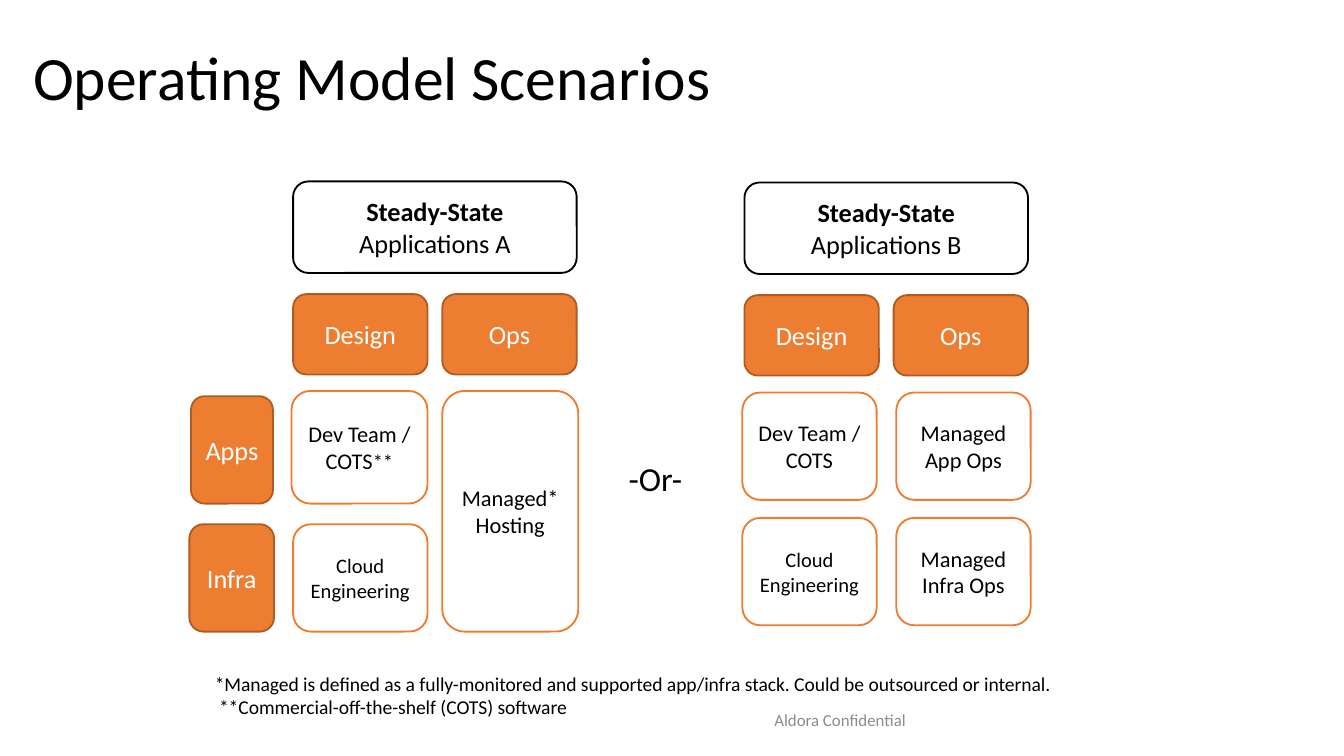
from dataclasses import dataclass

from pptx import Presentation
from pptx.dml.color import RGBColor
from pptx.enum.shapes import MSO_SHAPE
from pptx.enum.text import MSO_ANCHOR, PP_ALIGN
from pptx.util import Cm, Pt


@dataclass(frozen=True)
class Theme:
    font: str = "Calibri"
    ink: RGBColor = RGBColor(0x00, 0x00, 0x00)
    paper: RGBColor = RGBColor(0xFF, 0xFF, 0xFF)
    accent: RGBColor = RGBColor(0xED, 0x7D, 0x31)
    accent_dark: RGBColor = RGBColor(0xAF, 0x5C, 0x24)
    muted: RGBColor = RGBColor(0x8C, 0x8C, 0x8C)
    title: float = 33
    joiner: float = 18
    heading: float = 14.1
    body: float = 12
    small: float = 11
    note: float = 10.5
    footer: float = 9


THEME = Theme()
COLUMN_STEP = 2.82
ROLE_WIDTH = 2.54
CELL_HEIGHT = 2.03
INFRA_TOP_A = 9.91


def apply(target, values):
    for name, value in values.items():
        setattr(target, name, value)


def add_span(para, text, size, color, bold=False):
    span = para.add_run()
    span.text = text
    apply(span.font, {"name": THEME.font, "size": Pt(size), "bold": bold})
    span.font.color.rgb = color


def add_text(page, place, lines, size, color=THEME.ink, align=PP_ALIGN.LEFT,
             anchor=MSO_ANCHOR.TOP, spacing=1.0):
    box = page.shapes.add_textbox(*map(Cm, place))
    frame = box.text_frame
    apply(frame, {"word_wrap": True, "vertical_anchor": anchor})
    for index, line in enumerate(lines):
        para = frame.add_paragraph() if index else frame.paragraphs[0]
        apply(para, {"alignment": align, "line_spacing": spacing})
        add_span(para, line, size, color)
    return box


def add_box(page, place, spans, fill, line, color=THEME.ink):
    """Draw a rounded box; each span is (text, size) or (text, size, bold)."""
    box = page.shapes.add_shape(MSO_SHAPE.ROUNDED_RECTANGLE, *map(Cm, place))
    box.shadow.inherit = False
    box.fill.solid()
    box.fill.fore_color.rgb = fill
    box.line.color.rgb = line
    box.line.width = Pt(1)
    frame = box.text_frame
    apply(frame, {
        "word_wrap": True, "vertical_anchor": MSO_ANCHOR.MIDDLE,
        "margin_left": Cm(0.18), "margin_right": Cm(0.18),
        "margin_top": Cm(0.1), "margin_bottom": Cm(0.1),
    })
    para = frame.paragraphs[0]
    para.alignment = PP_ALIGN.CENTER
    for span in spans:
        add_span(para, span[0], span[1], color, *span[2:])


def add_label(page, place, text):
    add_box(page, place, [(text, THEME.heading)], THEME.accent,
            THEME.accent_dark, THEME.paper)


def add_cell(page, place, *spans):
    add_box(page, place, spans, THEME.paper, THEME.accent)


def add_scenario_head(page, left, role_top, letter):
    add_box(page, (left, role_top - 2.13, COLUMN_STEP + ROLE_WIDTH, 1.73),
            [("Steady-State", THEME.heading, True),
             (f" Applications {letter}", THEME.heading)],
            THEME.paper, THEME.ink)
    for column, role in enumerate(("Design", "Ops")):
        add_label(page, (left + column * COLUMN_STEP, role_top, ROLE_WIDTH, 1.52), role)


def add_scenario_a(page):
    add_scenario_head(page, 5.54, 5.56, "A")
    add_label(page, (3.61, 7.49, 1.55, CELL_HEIGHT), "Apps")
    add_label(page, (3.58, INFRA_TOP_A, 1.6, CELL_HEIGHT), "Infra")
    add_cell(page, (5.51, 7.39, 2.57, 2.13),
             ("Dev Team / COTS", THEME.body), ("**", THEME.small))
    add_cell(page, (8.36, 7.39, 2.57, 4.55), ("Managed* Hosting", THEME.body))
    add_cell(page, (5.54, INFRA_TOP_A, ROLE_WIDTH, CELL_HEIGHT),
             ("Cloud Engineering", THEME.small))


def add_scenario_b(page):
    add_scenario_head(page, 14.07, 5.58, "B")
    rows = (
        (("Dev Team / COTS", THEME.body), ("Managed App Ops", THEME.body)),
        (("Cloud Engineering", THEME.small), ("Managed Infra Ops", THEME.body)),
    )
    for row, cells in enumerate(rows):
        for column, span in enumerate(cells):
            place = (14.03 + column * 2.91, 7.42 + row * 2.37, ROLE_WIDTH, CELL_HEIGHT)
            add_cell(page, place, span)


def add_notes_and_footer(page):
    notes = add_text(page, (3.81, 12.57, 18.21, 1.14), [
        "*Managed is defined as a fully-monitored and supported app/infra stack. "
        "Could be outsourced or internal.",
        "**Commercial-off-the-shelf (COTS) software",
    ], THEME.note)
    second = notes.text_frame.paragraphs[1]
    second._p.get_or_add_pPr().set("marL", str(Cm(0.08)))
    add_text(page, (11.58, 13.23, 8.59, 0.76), ["Aldora Confidential"],
             THEME.footer, THEME.muted, PP_ALIGN.CENTER, MSO_ANCHOR.MIDDLE)


def main():
    deck = Presentation()
    apply(deck, {"slide_width": Cm(25.4), "slide_height": Cm(14.29)})
    page = deck.slides.add_slide(deck.slide_layouts[6])
    add_text(page, (0.38, 0.13, 21.89, 2.77), ["Operating Model Scenarios"],
             THEME.title, anchor=MSO_ANCHOR.MIDDLE, spacing=0.9)
    add_scenario_a(page)
    add_text(page, (11.63, 8.53, 1.91, 1.02), ["-Or-"], THEME.joiner)
    add_scenario_b(page)
    add_notes_and_footer(page)
    deck.save("out.pptx")


if __name__ == "__main__":
    main()
